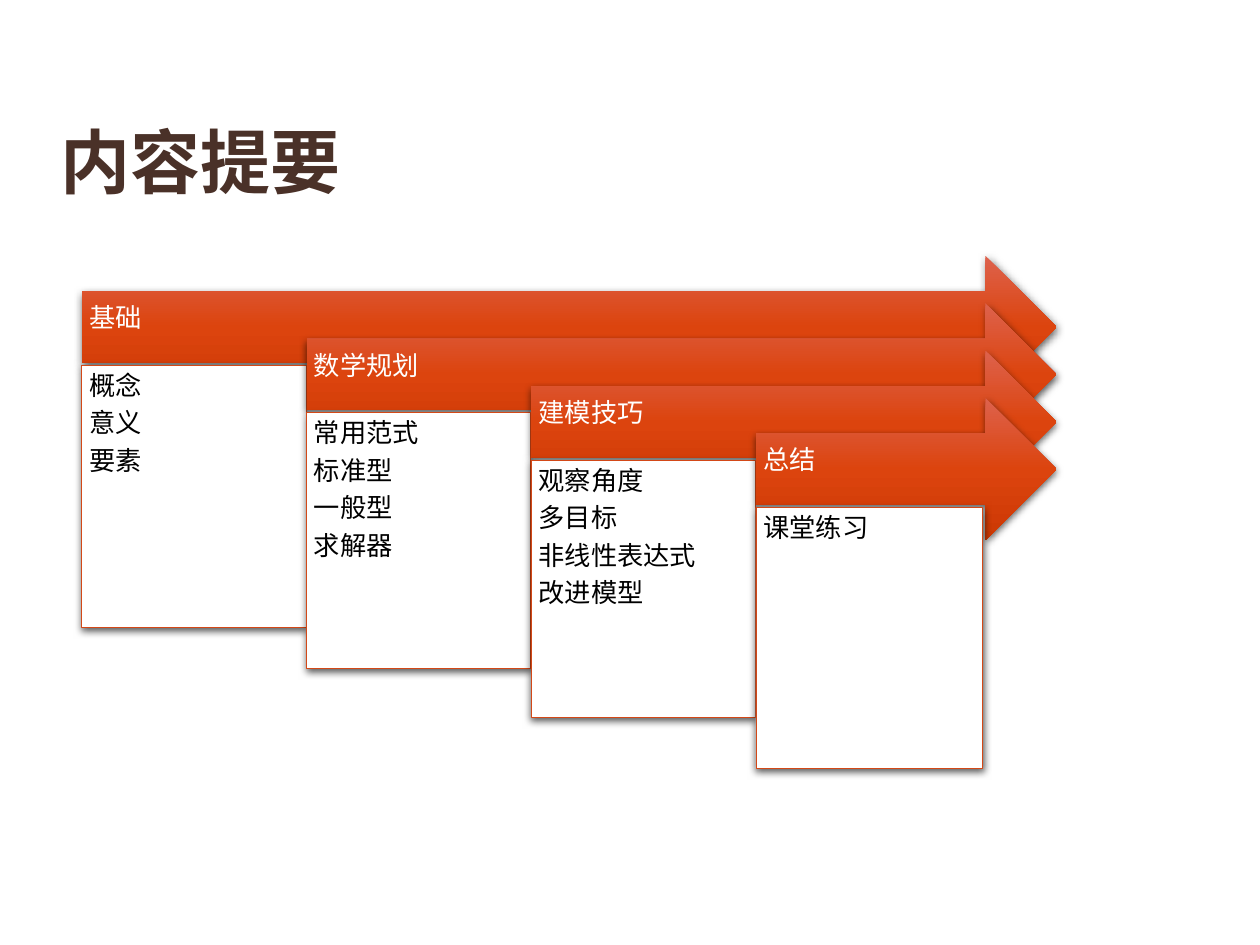
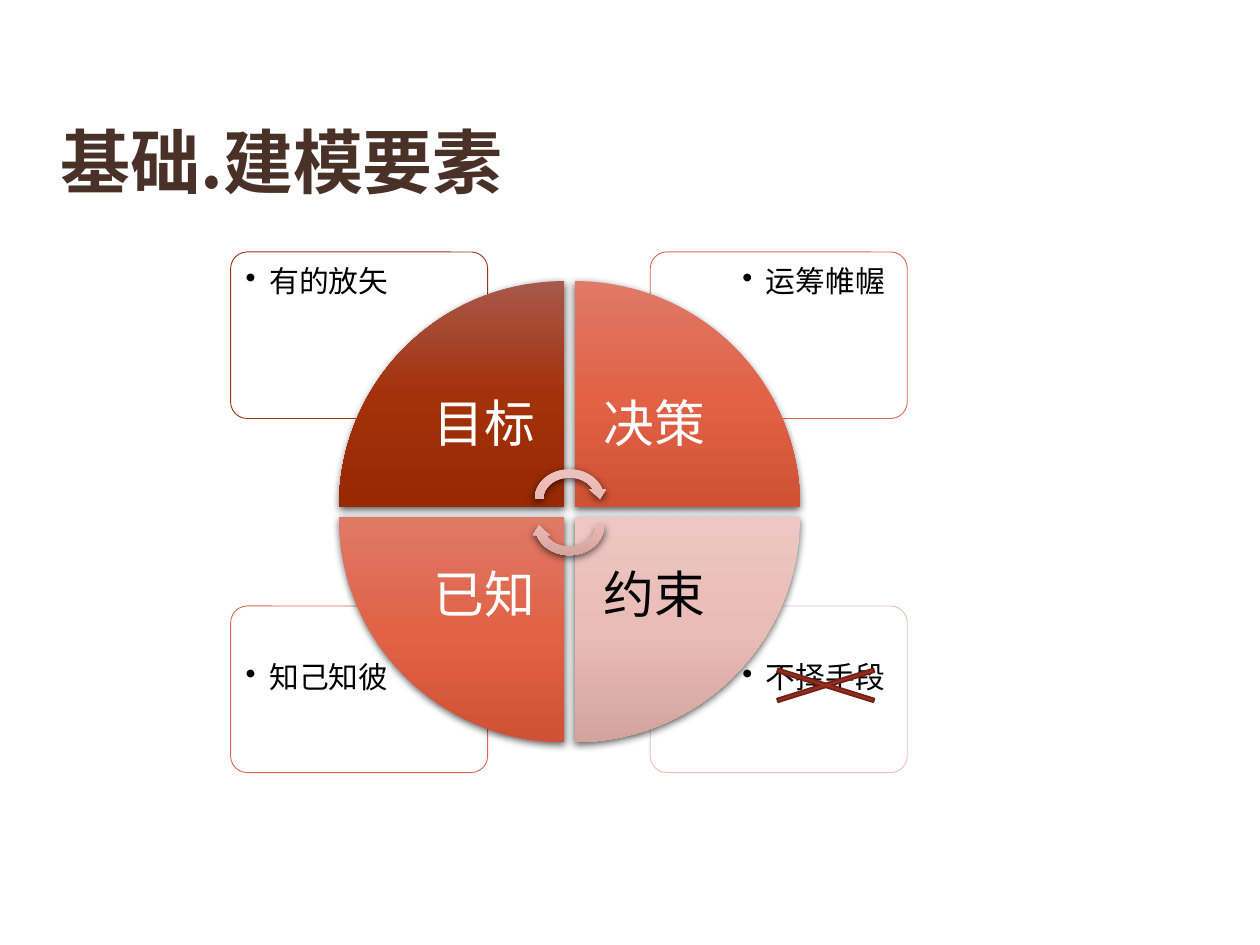
"""Build two lecture slides: a staggered outline and a four-part cycle."""
import lxml.etree
import pptx
import pptx.dml.color
import pptx.enum.shapes
import pptx.enum.text
import pptx.oxml.ns
import pptx.util

Pt = pptx.util.Pt
qn = pptx.oxml.ns.qn
Shapes = pptx.enum.shapes.MSO_SHAPE
Anchor = pptx.enum.text.MSO_ANCHOR
Align = pptx.enum.text.PP_ALIGN

WHITE, BLACK = "FFFFFF", "000000"
ORANGE = ("DD624D", "DC440E", "CC3804")
RUST = ("A9584C", "A3320A", "972903")
CORAL = ("DF7A67", "E16246", "D05236")
ROSE = ("ECC7C3", "EABCB7", "D3A49F")
BLUSH = ("ECC3BF", "EBB7B2", "D4A09A")


def color(hex_string):
    return pptx.dml.color.RGBColor.from_string(hex_string)


def add_element(parent, tag, **attributes):
    return lxml.etree.SubElement(parent, qn(tag), attributes)


class Deck:
    font = "Noto Sans CJK SC"
    title_color = "4A3128"

    def __init__(self):
        self.presentation = pptx.Presentation()
        self.presentation.slide_width = Pt(720)
        self.presentation.slide_height = Pt(540)
        self.slide = None

    def add_slide(self, title):
        self.slide = self.presentation.slides.add_slide(self.presentation.slide_layouts[5])
        shape = self.slide.shapes.title
        shape.left, shape.top, shape.width, shape.height = Pt(27.4), Pt(50.4), Pt(596.2), Pt(90.7)
        shape.text_frame.vertical_anchor = Anchor.MIDDLE
        paragraph = shape.text_frame.paragraphs[0]
        paragraph.alignment = Align.LEFT
        paragraph.line_spacing = Pt(40)
        self.add_run(paragraph, title, 40, self.title_color, bold=True)

    def add_run(self, paragraph, text, size, text_color, bold=False):
        run = paragraph.add_run()
        run.text = text
        run.font.size = Pt(size)
        run.font.bold = bold
        run.font.color.rgb = color(text_color)
        run.font.name = self.font
        add_element(run._r.get_or_add_rPr(), "a:ea", typeface=self.font)

    def add_shape(self, kind, box, fill, line=None, line_width=0.5, rotation=0,
                  adjustment=None, opacity=None, shadow=False):
        shape = self.slide.shapes.add_shape(kind, *map(Pt, box))
        shape.rotation = rotation
        if adjustment is not None:
            shape.adjustments[0] = adjustment
        if isinstance(fill, tuple):
            self.set_gradient(shape, fill)
        else:
            shape.fill.solid()
            shape.fill.fore_color.rgb = color(fill)
            if opacity:
                rgb = shape._element.spPr.find(qn("a:solidFill"))[0]
                add_element(rgb, "a:alpha", val=str(opacity * 1000))
        if line:
            shape.line.color.rgb = color(line)
            shape.line.width = Pt(line_width)
        else:
            shape.line.fill.background()
        shape.shadow.inherit = False
        if shadow:
            self.set_shadow(shape)
        return shape

    def set_gradient(self, shape, stops):
        shape.fill.gradient()
        gradient = shape._element.spPr.find(qn("a:gradFill"))
        gradient.set("rotWithShape", "0")
        for child in list(gradient):
            gradient.remove(child)
        stop_list = add_element(gradient, "a:gsLst")
        for index, stop in enumerate(stops):
            element = add_element(stop_list, "a:gs", pos=str(index * 50000))
            add_element(element, "a:srgbClr", val=stop)
        add_element(gradient, "a:lin", ang="5400000", scaled="0")

    def set_shadow(self, shape):
        effects = shape._element.spPr.find(qn("a:effectLst"))
        outer = add_element(effects, "a:outerShdw", blurRad=str(Pt(4.5)), dist=str(Pt(1.5)),
                            dir="5400000", rotWithShape="0")
        rgb = add_element(outer, "a:srgbClr", val=BLACK)
        add_element(rgb, "a:alpha", val="63000")

    def add_text(self, box, lines, size, **style):
        shape = self.slide.shapes.add_textbox(*map(Pt, box))
        self.fill_text(shape, lines, size, **style)

    def fill_text(self, shape, lines, size, text_color=BLACK, insets=(4.2, 4.2, 4.2, 4.2),
                  anchor=Anchor.TOP, alignment=Align.LEFT, space_after=35, bullet=False):
        frame = shape.text_frame
        frame.word_wrap = True
        frame.vertical_anchor = anchor
        (frame.margin_left, frame.margin_top,
         frame.margin_right, frame.margin_bottom) = map(Pt, insets)
        for index, line in enumerate(lines):
            paragraph = frame.add_paragraph() if index else frame.paragraphs[0]
            paragraph.alignment = alignment
            paragraph.line_spacing = 0.9
            properties = paragraph._p.get_or_add_pPr()
            spacing = add_element(properties, "a:spcAft")
            add_element(spacing, "a:spcPct", val=str(space_after * 1000))
            if bullet:
                paragraph.level = 1
                properties.set("marL", str(Pt(13.5)))
                properties.set("indent", str(-Pt(13.5)))
                add_element(properties, "a:buChar", char="•")
            self.add_run(paragraph, line, size, text_color)


def build_outline(deck):
    deck.add_slide("内容提要")
    stages = [
        ("基础", ["概念", "意义", "要素"], 128.2, 150),
        ("数学规划", ["常用范式", "标准型", "一般型", "求解器"], 128.2, 146),
        ("建模技巧", ["观察角度", "多目标", "非线性表达式", "改进模型"], 128.2, 147),
        ("总结", ["课堂练习"], 129.6, 149),
    ]
    arrow_tip = 603.8
    for index, (heading, topics, card_width, card_height) in enumerate(stages):
        left, top = 46.8 + index * 128.4, 146.2 + index * 27.1
        width = arrow_tip - left
        deck.add_shape(Shapes.RIGHT_ARROW, (left, top, width, 81.3), ORANGE, shadow=True)
        deck.add_text((left, top + 20.3, width - 20.4, 40.6), [heading], 15, text_color=WHITE,
                      insets=(4.2, 4.2, 20, 13), anchor=Anchor.MIDDLE)
        card = deck.add_shape(Shapes.RECTANGLE, (left, top + 62.6, card_width, card_height),
                              WHITE, line="D34817", shadow=True)
        deck.fill_text(card, topics, 15)


def build_elements(deck):
    deck.add_slide("基础.建模要素")
    quadrants = [
        (0, 0, "目标", "有的放矢", RUST, "9C3511", WHITE),
        (1, 0, "决策", "运筹帷幄", CORAL, "DA674D", WHITE),
        (1, 1, "约束", "不择手段", ROSE, "E8BEB9", BLACK),
        (0, 1, "已知", "知己知彼", CORAL, "DA674D", WHITE),
    ]
    for column, row, _, motto, _, outline, _ in reversed(quadrants):
        left, top = 131.8 + column * 239.8, 144 + row * 202.3
        deck.add_shape(Shapes.ROUNDED_RECTANGLE, (left, top, 146.9, 95.2), WHITE,
                       line=outline, adjustment=0.1, opacity=90)
        deck.add_text((left + 2.1 + column * 44, top + 2.1 + row * 23.8, 98.7, 67), [motto], 17,
                      insets=(6.5, 6.5, 6.5, 6.5), space_after=15, bullet=True)

    wedge, label = 128.9, 91.5
    for index, (column, row, name, _, gradient, _, text_color) in enumerate(quadrants):
        left, top = 193.7 + column * 134.6, 160.6 + row * 134.6
        deck.add_shape(Shapes.PIE_WEDGE, (left, top, wedge, wedge), gradient,
                       rotation=index * 90, shadow=True)
        inner_left = left + (1 - column) * (wedge - label)
        inner_top = top + (1 - row) * (wedge - label)
        deck.add_text((inner_left, inner_top, label, label), [name], 29, text_color=text_color,
                      insets=(16.5, 16.5, 16.5, 16.5), anchor=Anchor.MIDDLE,
                      alignment=Align.CENTER)

    for top, rotation in ((265.7, 0), (280.8, 180)):
        deck.add_shape(Shapes.CIRCULAR_ARROW, (303.1, top, 44.6, 38.9), BLUSH,
                       rotation=rotation, shadow=True)
    deck.add_shape(Shapes.MATH_MULTIPLY, (419, 375.1, 105.8, 33.1), "9B2D1F",
                   line="732117", line_width=1, adjustment=0.065)


def main():
    deck = Deck()
    build_outline(deck)
    build_elements(deck)
    deck.presentation.save("out.pptx")


if __name__ == "__main__":
    main()
